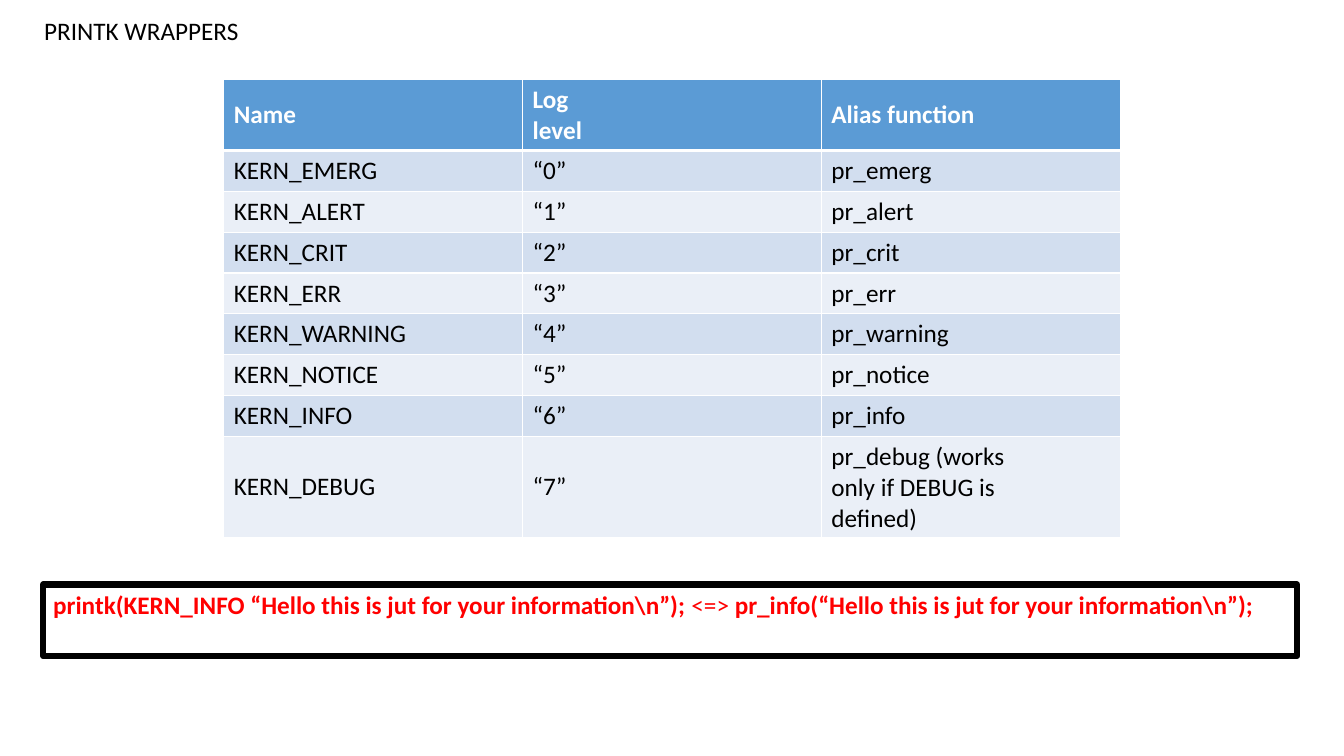
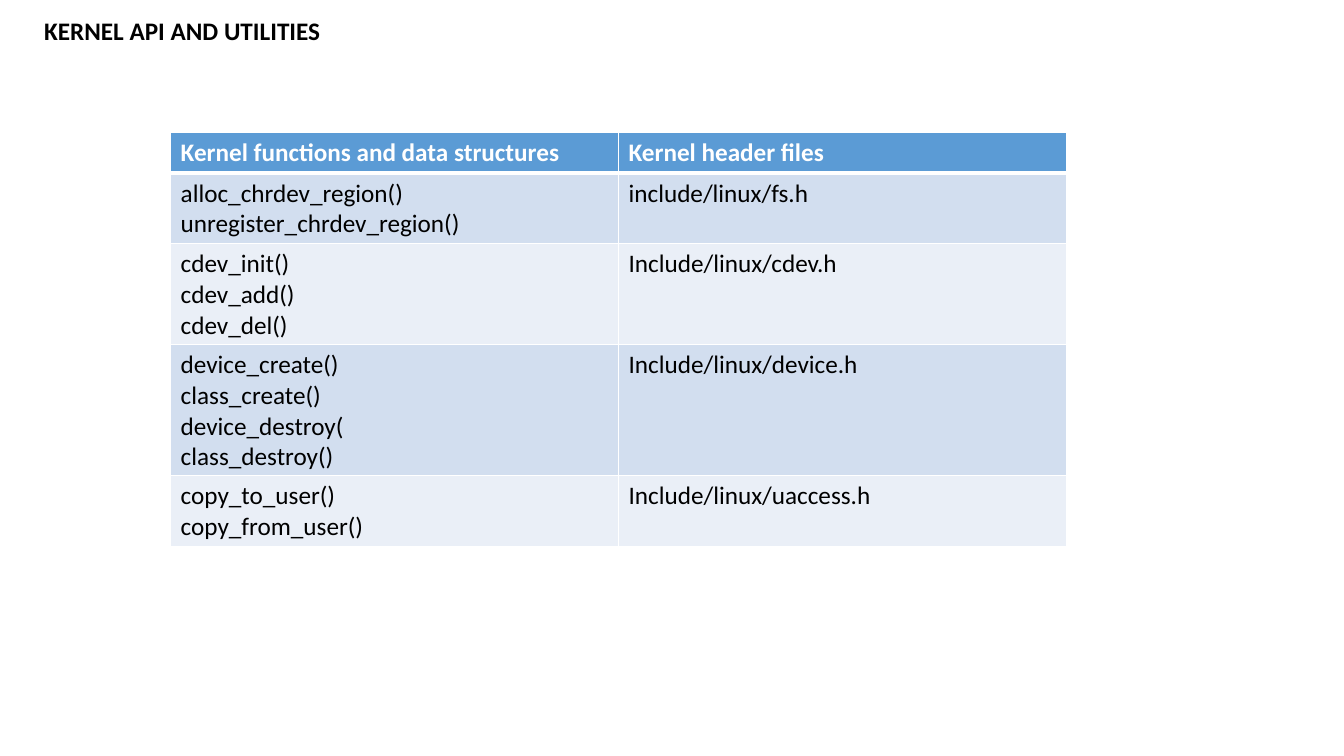
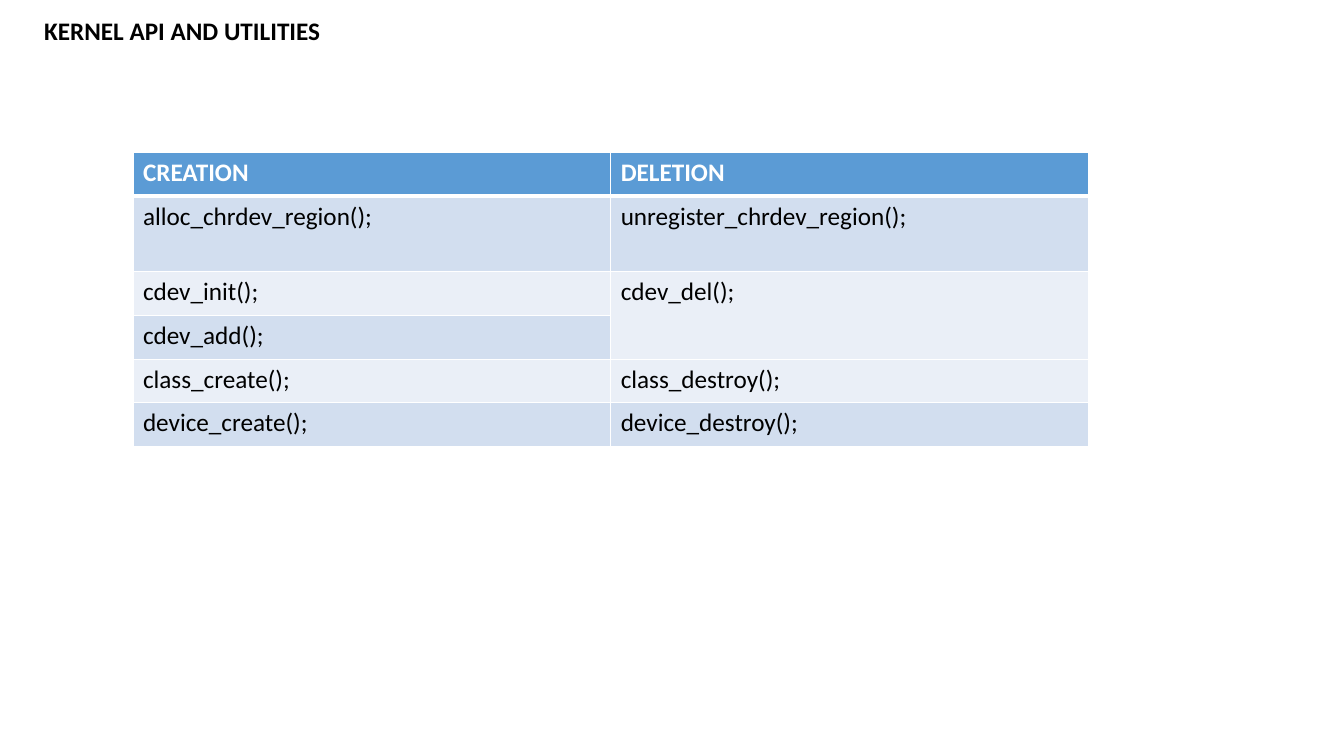
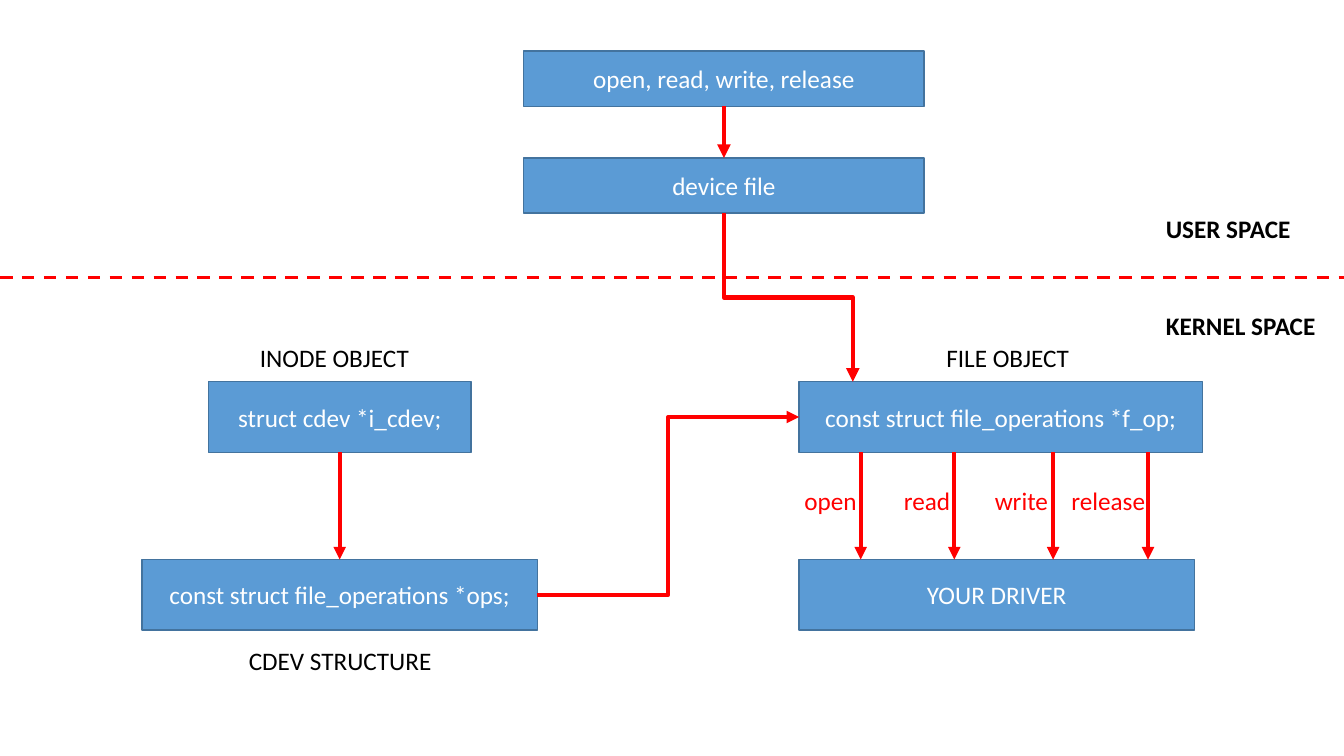
from dataclasses import dataclass

from lxml import etree
from pptx import Presentation
from pptx.dml.color import RGBColor
from pptx.enum.dml import MSO_LINE
from pptx.enum.shapes import MSO_CONNECTOR as CONN, MSO_SHAPE
from pptx.enum.text import MSO_ANCHOR as ANCHOR, MSO_AUTO_SIZE as AUTO, PP_ALIGN as ALIGN
from pptx.oxml.ns import qn
from pptx.util import Cm, Pt


@dataclass(frozen=True)
class Theme:
    font: str = "Calibri"
    size: float = 18
    black: str = "000000"
    white: str = "FFFFFF"
    red: str = "FF0000"
    blue: str = "5B9BD5"
    edge: str = "43739E"
    bands: tuple[str, str] = ("D2DEEF", "EAEFF7")
    grid: float = 1
    header_rule: float = 3


@dataclass(frozen=True)
class Run:
    text: str
    bold: bool = False


@dataclass(frozen=True)
class Grid:
    left: float
    top: float
    col_width: float
    row_heights: list[float]
    rows: list[tuple[str | None, ...]]
    anchor: ANCHOR = ANCHOR.TOP


@dataclass(frozen=True)
class Box:
    text: str
    left: float
    top: float
    width: float
    height: float


@dataclass(frozen=True)
class Label:
    text: str
    left: float
    top: float
    width: float
    color: str
    bold: bool = False


@dataclass(frozen=True)
class Line:
    x1: float
    y1: float
    x2: float
    y2: float
    width: float = 3
    elbow: bool = False
    vertical: bool = False
    dashed: bool = False


T = Theme()
SLIDE_W, SLIDE_H = 33.87, 19.05
LINE_H = 1.03
TITLE_ONLY, BLANK = 5, 6


def rgb(code: str) -> RGBColor:
    return RGBColor.from_string(code)


def write(tf, runs: list[Run], color: str, align=ALIGN.LEFT) -> None:
    p = tf.paragraphs[0]
    p.alignment = align
    for run in runs:
        for i, text in enumerate(run.text.split("\n")):
            if i:
                p.add_line_break()
            r = p.add_run()
            r.text = text
            r.font.name = T.font
            r.font.size = Pt(T.size)
            r.font.bold = run.bold
            r.font.color.rgb = rgb(color)


def add_title(s, text: str, bold: bool = True) -> None:
    sp = s.shapes.title
    sp.left, sp.top, sp.width, sp.height = Cm(0.86), Cm(0.25), Cm(10.97), Cm(LINE_H)
    tf = sp.text_frame
    tf.word_wrap = True
    tf.auto_size = AUTO.SHAPE_TO_FIT_TEXT
    tf.vertical_anchor = ANCHOR.TOP
    write(tf, [Run(text, bold)], T.black)


def set_border(cell, side: str, width: float) -> None:
    ln = etree.SubElement(cell._tc.get_or_add_tcPr(), qn(f"a:ln{side}"), w=str(Pt(width)))
    fill = etree.SubElement(ln, qn("a:solidFill"))
    etree.SubElement(fill, qn("a:srgbClr"), val=T.white)


def add_grid(s, grid: Grid) -> None:
    n_rows, n_cols = len(grid.rows), len(grid.rows[0])
    table = s.shapes.add_table(
        n_rows, n_cols, Cm(grid.left), Cm(grid.top),
        Cm(grid.col_width * n_cols), Cm(sum(grid.row_heights)),
    ).table
    table.horz_banding = False
    for col in table.columns:
        col.width = Cm(grid.col_width)
    for i, (row, height) in enumerate(zip(grid.rows, grid.row_heights)):
        table.rows[i].height = Cm(height)
        header = i == 0
        for j, text in enumerate(row):
            cell = table.cell(i, j)
            for side in "LRTB":
                rule = (header and side == "B") or (i == 1 and side == "T")
                set_border(cell, side, T.header_rule if rule else T.grid)
            cell.fill.solid()
            cell.fill.fore_color.rgb = rgb(T.blue if header else T.bands[(i - 1) % 2])
            cell.vertical_anchor = grid.anchor
            if text is None:
                table.cell(i - 1, j).merge(cell)
            else:
                write(cell.text_frame, [Run(text, header)], T.white if header else T.black)


def add_rect(s, left: float, top: float, width: float, height: float, edge: str, weight: float):
    sp = s.shapes.add_shape(MSO_SHAPE.RECTANGLE, Cm(left), Cm(top), Cm(width), Cm(height))
    sp.shadow.inherit = False
    sp.line.color.rgb = rgb(edge)
    sp.line.width = Pt(weight)
    sp.text_frame.word_wrap = True
    return sp


def add_box(s, box: Box) -> None:
    sp = add_rect(s, box.left, box.top, box.width, box.height, T.edge, 1)
    sp.fill.solid()
    sp.fill.fore_color.rgb = rgb(T.blue)
    sp.text_frame.vertical_anchor = ANCHOR.MIDDLE
    write(sp.text_frame, [Run(box.text)], T.white, ALIGN.CENTER)


def add_code_frame(s, runs: list[Run]) -> None:
    sp = add_rect(s, 1.09, 14.73, 31.6, 1.8, T.black, 4.5)
    sp.fill.background()
    sp.text_frame.vertical_anchor = ANCHOR.TOP
    write(sp.text_frame, runs, T.red)


def add_label(s, label: Label) -> None:
    sp = s.shapes.add_textbox(Cm(label.left), Cm(label.top), Cm(label.width), Cm(LINE_H))
    tf = sp.text_frame
    tf.word_wrap = True
    tf.auto_size = AUTO.SHAPE_TO_FIT_TEXT
    write(tf, [Run(label.text, label.bold)], label.color)


def add_line(s, line: Line) -> None:
    kind = CONN.ELBOW if line.elbow else CONN.STRAIGHT
    sp = s.shapes.add_connector(kind, Cm(line.x1), Cm(line.y1), Cm(line.x2), Cm(line.y2))
    sp.line.color.rgb = rgb(T.red)
    sp.line.width = Pt(line.width)
    sp_pr = sp.element.spPr
    if line.vertical:
        dx, dy = line.x2 - line.x1, line.y2 - line.y1
        sp.left = Cm((line.x1 + line.x2 - dy) / 2)
        sp.top = Cm((line.y1 + line.y2 - dx) / 2)
        sp.width, sp.height = Cm(dy), Cm(dx)
        xfrm = sp_pr.find(qn("a:xfrm"))
        xfrm.set("rot", str(270 * 60000))
        xfrm.set("flipH", "1")
    if line.dashed:
        sp.line.dash_style = MSO_LINE.DASH
    else:
        etree.SubElement(sp_pr.find(qn("a:ln")), qn("a:tailEnd"), type="triangle")
    etree.SubElement(sp_pr, qn("a:effectLst"))


def printk_slide(prs) -> None:
    s = prs.slides.add_slide(prs.slide_layouts[TITLE_ONLY])
    add_title(s, "PRINTK WRAPPERS", bold=False)
    levels = ["emerg", "alert", "crit", "err", "warning", "notice", "info"]
    rows = [("Name", "Log\nlevel", "Alias function")]
    rows += [(f"KERN_{name.upper()}", f"“{i}”", f"pr_{name}") for i, name in enumerate(levels)]
    rows.append(("KERN_DEBUG", "“7”", "pr_debug (works\nonly if DEBUG is\ndefined)"))
    add_grid(s, Grid(5.64, 2.01, 7.53, [LINE_H] * len(rows), rows, ANCHOR.MIDDLE))
    add_code_frame(s, [
        Run("printk(KERN_INFO “Hello this is jut for your information\\n”); ", True),
        Run("<=> "),
        Run("pr_info(“Hello this is jut for your information\\n”);", True),
    ])


def headers_slide(prs) -> None:
    s = prs.slides.add_slide(prs.slide_layouts[TITLE_ONLY])
    add_title(s, "KERNEL API AND UTILITIES")
    rows = [
        ("Kernel functions and data structures", "Kernel header files"),
        ("alloc_chrdev_region()\nunregister_chrdev_region()", "include/linux/fs.h"),
        ("cdev_init()\ncdev_add()\ncdev_del()", "Include/linux/cdev.h"),
        ("device_create()\nclass_create()\ndevice_destroy(\nclass_destroy()",
         "Include/linux/device.h"),
        ("copy_to_user()\ncopy_from_user()", "Include/linux/uaccess.h"),
    ]
    add_grid(s, Grid(4.3, 3.33, 11.29, [LINE_H] * len(rows), rows))


def lifecycle_slide(prs) -> None:
    s = prs.slides.add_slide(prs.slide_layouts[TITLE_ONLY])
    add_title(s, "KERNEL API AND UTILITIES")
    rows = [
        ("CREATION", "DELETION"),
        ("alloc_chrdev_region();", "unregister_chrdev_region();"),
        ("cdev_init();", "cdev_del();"),
        ("cdev_add();", None),
        ("class_create();", "class_destroy();"),
        ("device_create();", "device_destroy();"),
    ]
    add_grid(s, Grid(3.35, 3.84, 12.04, [1.1, 1.91] + [1.1] * 4, rows))


def driver_slide(prs) -> None:
    s = prs.slides.add_slide(prs.slide_layouts[BLANK])
    call_x, call_w, call_h = 13.2, 10.09, 1.39
    object_y, target_y, box_h = 9.62, 14.1, 1.78
    object_end = object_y + box_h
    file_x, wide = 20.14, 9.96
    call_mid = call_x + call_w / 2
    boxes = [
        Box("open, read, write, release", call_x, 1.29, call_w, call_h),
        Box("device file", call_x, 3.98, call_w, call_h),
        Box("struct cdev *i_cdev;", 5.26, object_y, 6.61, box_h),
        Box("const struct file_operations *ops;", 3.58, target_y, wide, box_h),
        Box("const struct file_operations *f_op;", file_x, object_y, 10.16, box_h),
        Box("YOUR DRIVER", file_x, target_y, wide, box_h),
    ]
    lines = [
        Line(0, 6.99, SLIDE_W, 6.99, 2.25, dashed=True),
        Line(call_mid, 2.68, call_mid, 3.98, 3.25),
        Line(call_mid, 5.37, 21.49, object_y, 3.25, elbow=True, vertical=True),
        Line(3.58 + wide, target_y + box_h / 2, file_x, object_y + box_h / 2, elbow=True),
    ]
    lines += [Line(x, object_end, x, target_y) for x in (8.56, 21.69, 24.05, 26.54, 28.93)]
    labels = [
        Label("INODE OBJECT", 6.3, 8.51, 5.11, T.black),
        Label("CDEV STRUCTURE", 6.02, 16.13, 5.64, T.black),
        Label("FILE OBJECT", 23.6, 8.51, 4.27, T.black),
        Label("USER SPACE", 29.13, 5.26, 4.74, T.black, True),
        Label("KERNEL SPACE", 29.13, 7.7, 4.74, T.black, True),
    ]
    calls = [("open", 20.02, 2.03), ("read", 22.53, 2.03),
             ("write", 24.82, 2.03), ("release", 26.75, 2.36)]
    labels += [Label(text, x, 12.1, w, T.red) for text, x, w in calls]
    for box in boxes:
        add_box(s, box)
    for line in lines:
        add_line(s, line)
    for label in labels:
        add_label(s, label)


def main() -> None:
    prs = Presentation()
    prs.slide_width, prs.slide_height = Cm(SLIDE_W), Cm(SLIDE_H)
    for build in (printk_slide, headers_slide, lifecycle_slide, driver_slide):
        build(prs)
    prs.save("out.pptx")


if __name__ == "__main__":
    main()
